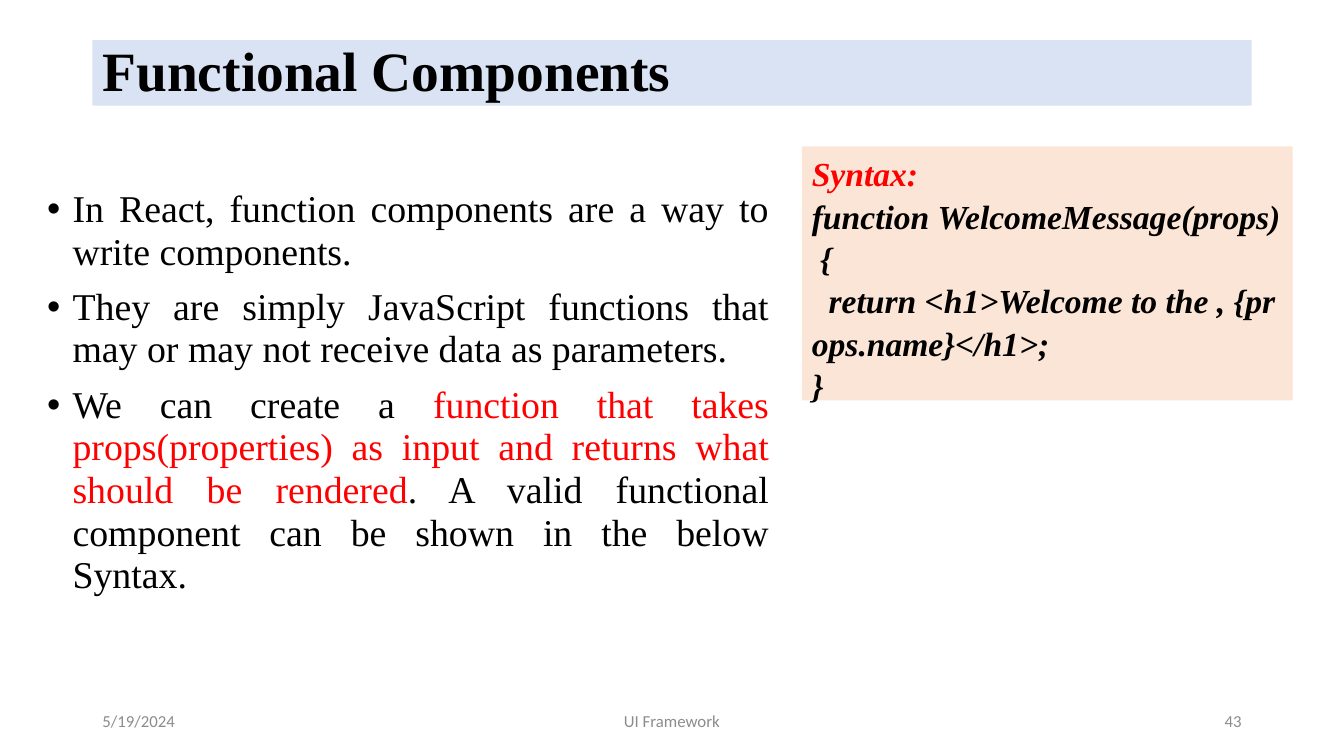
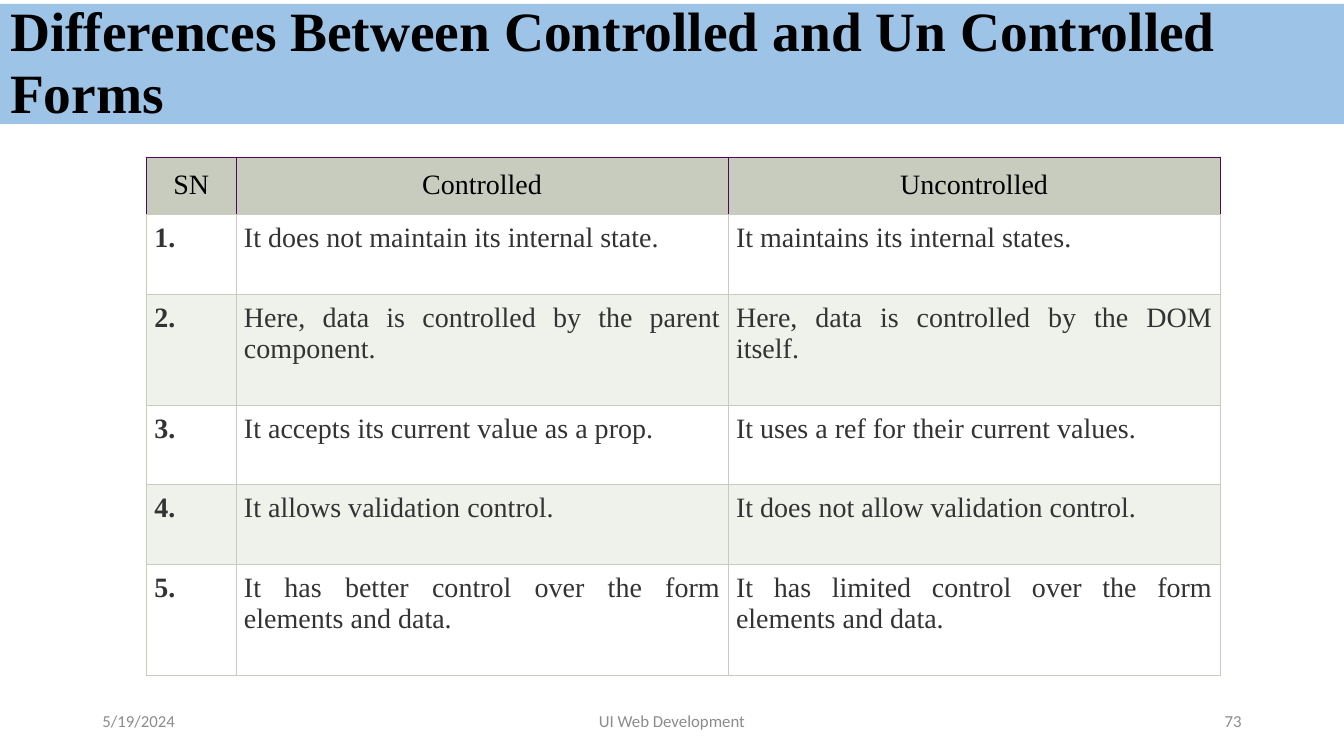
import pptx
import pptx.dml.color
import pptx.enum.shapes
import pptx.enum.text
import pptx.oxml
import pptx.oxml.ns
import pptx.util

Cm = pptx.util.Cm
Pt = pptx.util.Pt
ALIGN = pptx.enum.text.PP_ALIGN
MIDDLE = pptx.enum.text.MSO_ANCHOR.MIDDLE
NO_AUTOFIT = pptx.enum.text.MSO_AUTO_SIZE.NONE
NAMESPACE = pptx.oxml.ns.nsdecls("a")

SERIF, SANS = "Times New Roman", "Calibri"
BLACK, WHITE, RED = "000000", "FFFFFF", "FF0000"
DARK_GREY, FOOTER_GREY = "333333", "8C8C8C"
PALE_BLUE, SKY_BLUE, PEACH = "DAE3F3", "9DC3E6", "FBE5D6"
SAGE, PALE_SAGE, PURPLE = "C7CCBE", "EFF1EB", "50075D"


def color(hex_string):
    return pptx.dml.color.RGBColor.from_string(hex_string)


def fill_with(item, hex_string):
    item.fill.solid()
    item.fill.fore_color.rgb = color(hex_string)


def set_border(cell, side, hex_string):
    """Draw one side (L, R, T or B) of a cell; call before filling the cell."""
    cell._tc.get_or_add_tcPr().append(pptx.oxml.parse_xml(
        f'<a:ln{side} {NAMESPACE} w="9525"><a:solidFill>'
        f'<a:srgbClr val="{hex_string}"/></a:solidFill></a:ln{side}>'))


def add_bullet(para):
    properties = para._p.get_or_add_pPr()
    properties.set("marL", str(Cm(0.64)))
    properties.set("indent", str(-Cm(0.64)))
    for element in ('buFont {} typeface="Arial"', 'buChar {} char="•"'):
        properties.append(pptx.oxml.parse_xml(f"<a:{element.format(NAMESPACE)}/>"))


class SlideWriter:
    def __init__(self):
        self.deck = pptx.Presentation()
        self.deck.slide_width = Cm(33.87)
        self.deck.slide_height = Cm(19.05)
        self.slide = None

    def add_run(self, para, text, size, hex_string=BLACK, font=SERIF,
                bold=False, italic=False):
        span = para.add_run()
        span.text = text
        span.font.name = font
        span.font.size = Pt(size)
        span.font.color.rgb = color(hex_string)
        span.font.bold = bold
        span.font.italic = italic

    def paragraphs(self, frame, count):
        """Yield the first paragraph of a frame, then new ones up to count."""
        for index in range(count):
            yield frame.add_paragraph() if index else frame.paragraphs[0]

    def start_slide(self, title, band_color, left, top, width, height):
        layout = self.deck.slide_layouts.get_by_name("Title Only")
        self.slide = self.deck.slides.add_slide(layout)
        band = self.slide.shapes.title
        band.left, band.top = Cm(left), Cm(top)
        band.width, band.height = Cm(width), Cm(height)
        fill_with(band, band_color)
        frame = band.text_frame
        frame.word_wrap = True
        frame.auto_size = NO_AUTOFIT
        frame.vertical_anchor = MIDDLE
        para = frame.paragraphs[0]
        para.alignment = ALIGN.LEFT
        para.line_spacing = 0.94
        self.add_run(para, title, 39.6, bold=True)

    def text_frame(self, left, top, width, height):
        box = self.slide.shapes.add_textbox(Cm(left), Cm(top), Cm(width), Cm(height))
        box.text_frame.word_wrap = True
        return box.text_frame

    def footer(self, name, number):
        for text, left, width, alignment in (
                ("5/19/2024", 2.33, 7.62, ALIGN.LEFT),
                (name, 11.22, 11.43, ALIGN.CENTER),
                (number, 23.92, 7.62, ALIGN.RIGHT)):
            frame = self.text_frame(left, 17.65, width, 1.01)
            frame.vertical_anchor = MIDDLE
            para = frame.paragraphs[0]
            para.alignment = alignment
            self.add_run(para, text, 12, FOOTER_GREY, SANS)

    def bullets(self, items, left, top, width, height):
        """Write bulleted items, each a list of (text, colour) runs."""
        frame = self.text_frame(left, top, width, height)
        for index, para in enumerate(self.paragraphs(frame, len(items))):
            add_bullet(para)
            para.alignment = ALIGN.JUSTIFY
            para.line_spacing = 0.94
            para.space_before = Pt(9 if index else 0)
            for text, hex_string in items[index]:
                self.add_run(para, text, 27, hex_string)

    def code_box(self, heading, lines, left, top, width, height):
        """Show code whose spaces do not break, so long lines wrap anywhere."""
        box = self.slide.shapes.add_shape(
            pptx.enum.shapes.MSO_SHAPE.RECTANGLE,
            Cm(left), Cm(top), Cm(width), Cm(height))
        box.shadow.inherit = False
        fill_with(box, PEACH)
        box.line.fill.background()
        frame = box.text_frame
        frame.word_wrap = True
        frame.vertical_anchor = pptx.enum.text.MSO_ANCHOR.TOP
        rows = [(heading, RED)] + [(line.replace(" ", chr(160)), BLACK) for line in lines]
        for para, (text, hex_string) in zip(self.paragraphs(frame, len(rows)), rows):
            para.alignment = ALIGN.LEFT
            para.line_spacing = 1.05
            self.add_run(para, text, 24, hex_string, bold=True, italic=True)

    def cell(self, cell, text, is_header, background, bold):
        margin = Cm(0.3 if is_header else 0.2)
        cell.margin_left = cell.margin_right = margin
        cell.margin_top = cell.margin_bottom = margin
        for side in "LRTB":
            set_border(cell, side, PURPLE if is_header and side != "B" else SAGE)
        fill_with(cell, background)
        para = cell.text_frame.paragraphs[0]
        para.alignment = ALIGN.CENTER if is_header else ALIGN.JUSTIFY
        self.add_run(para, text, 20, BLACK if is_header else DARK_GREY, bold=bold)

    def table(self, rows, left, top, widths, heights):
        table = self.slide.shapes.add_table(
            len(rows), len(widths), Cm(left), Cm(top),
            Cm(sum(widths)), Cm(sum(heights))).table
        table.first_row = table.horz_banding = False
        for column, width in zip(table.columns, widths):
            column.width = Cm(width)
        for row_index, texts in enumerate(rows):
            table.rows[row_index].height = Cm(heights[row_index])
            is_header = row_index == 0
            background = SAGE if is_header else (PALE_SAGE, WHITE)[row_index % 2]
            for column_index, text in enumerate(texts):
                self.cell(table.cell(row_index, column_index), text, is_header,
                          background, bold=not is_header and column_index == 0)


def add_functional_components(writer):
    writer.start_slide("Functional Components", PALE_BLUE, 2.33, 1.01, 29.21, 1.65)
    writer.bullets([
        [("In React, function components are a way to write components.", BLACK)],
        [("They are simply JavaScript functions that may or may not receive data "
          "as parameters.", BLACK)],
        [("We can create a ", BLACK),
         ("function that takes props(properties) as input and returns what should "
          "be rendered", RED),
         (". A valid functional component can be shown in the below Syntax.", BLACK)],
    ], 0.94, 4.62, 18.69, 12.09)
    writer.footer("UI Framework", "43")
    writer.code_box("Syntax:", [
        "function WelcomeMessage(props) {",
        "  return <h1>Welcome to the , {props.name}</h1>;",
        "}",
    ], 20.21, 3.69, 12.37, 6.4)


def add_form_differences(writer):
    writer.start_slide("Differences Between Controlled and Un Controlled Forms",
                       SKY_BLUE, 0, 0.1, 33.87, 3.02)
    writer.footer("UI Web Development", "73")
    differences = [
        ("It does not maintain its internal state.",
         "It maintains its internal states."),
        ("Here, data is controlled by the parent component.",
         "Here, data is controlled by the DOM itself."),
        ("It accepts its current value as a prop.",
         "It uses a ref for their current values."),
        ("It allows validation control.",
         "It does not allow validation control."),
        ("It has better control over the form elements and data.",
         "It has limited control over the form elements and data."),
    ]
    rows = [("SN", "Controlled", "Uncontrolled")]
    rows += [(f"{number}.", *pair) for number, pair in enumerate(differences, 1)]
    one_line, two_lines = 2.01, 2.79
    writer.table(rows, 3.69, 3.96, [2.26, 12.4, 12.4],
                 [1.44, one_line, two_lines, one_line, one_line, two_lines])


def main():
    writer = SlideWriter()
    add_functional_components(writer)
    add_form_differences(writer)
    writer.deck.save("out.pptx")


if __name__ == "__main__":
    main()
